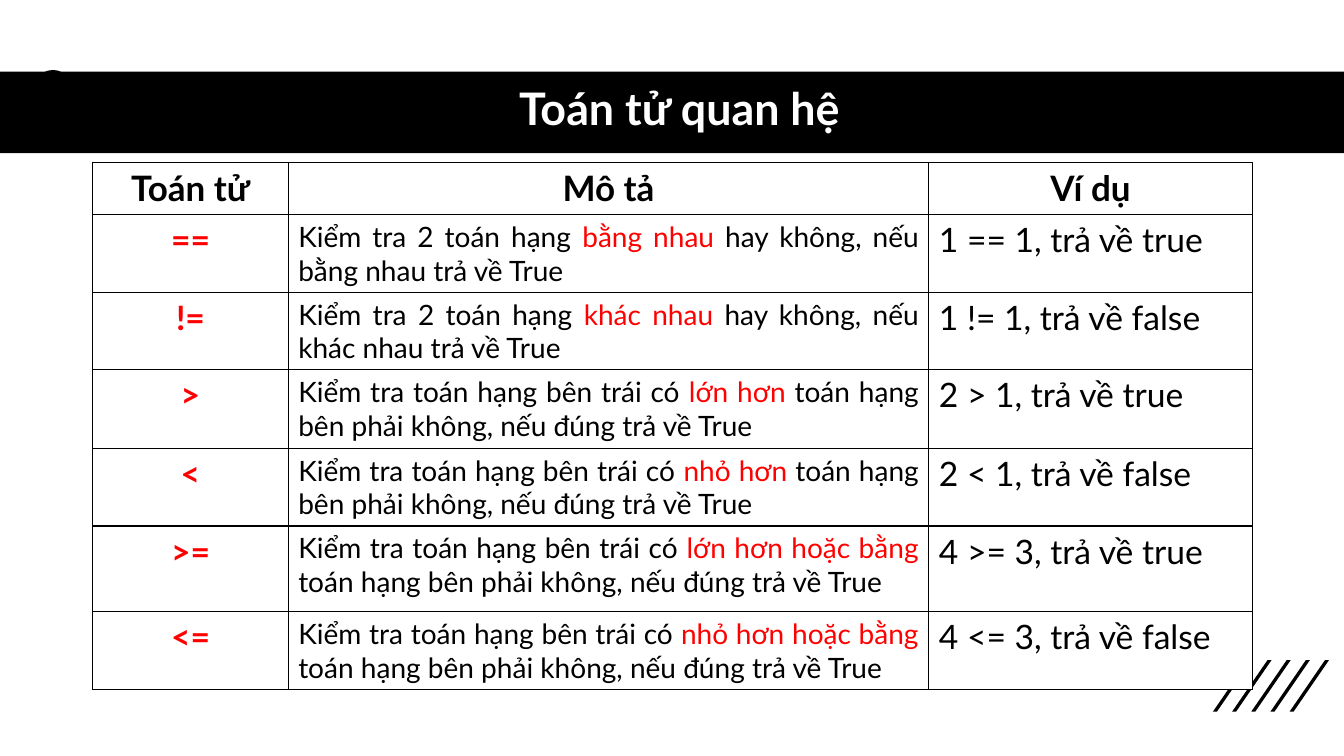
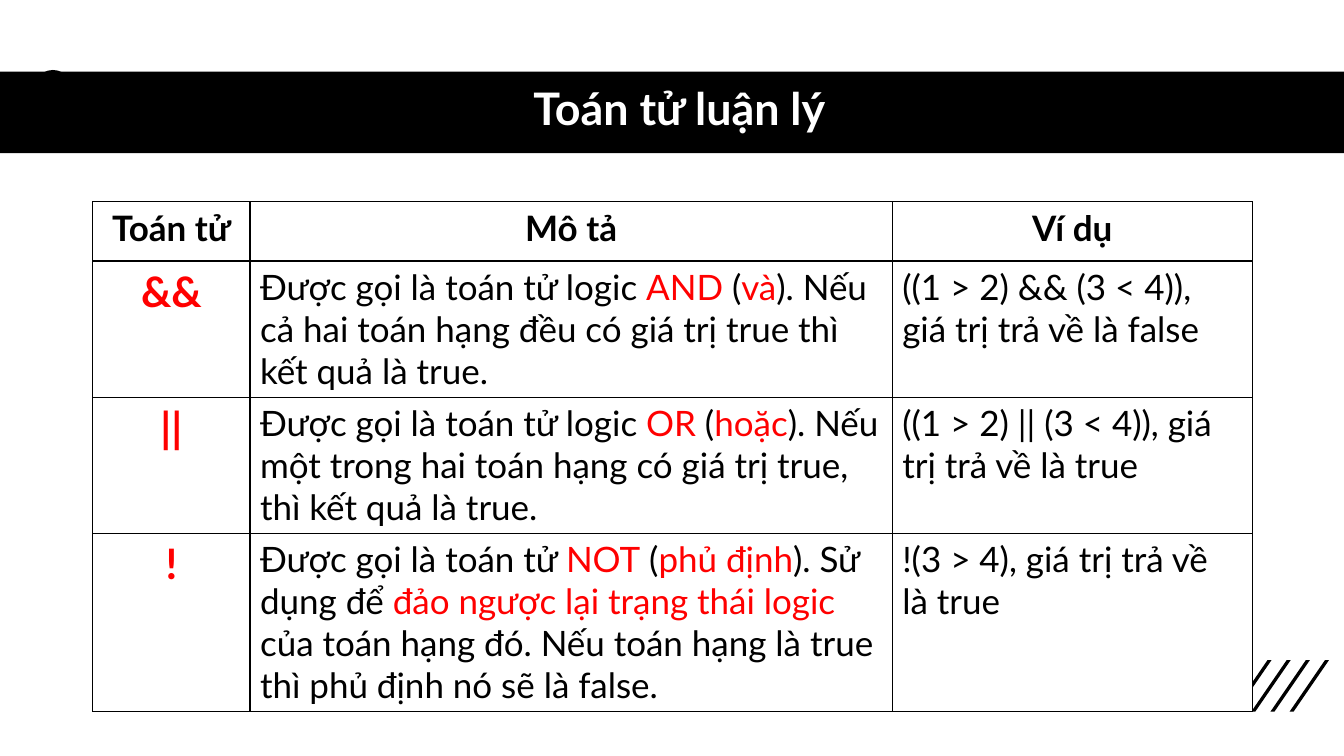
from dataclasses import dataclass

from lxml.etree import SubElement
from pptx import Presentation
from pptx.dml.color import RGBColor
from pptx.enum.shapes import MSO_SHAPE as Preset
from pptx.enum.text import MSO_ANCHOR as Anchor, PP_ALIGN as Align
from pptx.oxml.ns import qn
from pptx.util import Inches, Pt


@dataclass(frozen=True)
class Theme:
    font: str = "Lato"
    ink: RGBColor = RGBColor(0, 0, 0)
    paper: RGBColor = RGBColor(255, 255, 255)
    accent: RGBColor = RGBColor(255, 0, 0)
    mint: RGBColor = RGBColor(0xCF, 0xF7, 0xE1)
    title_size: int = 32
    header_size: int = 25
    border: float = 1
    ring: float = 2.25


@dataclass(frozen=True)
class Box:
    left: float
    top: float
    width: float
    height: float

    def emu(self):
        return [Inches(v) for v in (self.left, self.top, self.width, self.height)]


@dataclass(frozen=True)
class TableStyle:
    """Sizes and alignment of the body columns: operator, description, example."""
    sizes: tuple
    description_align: Align


THEME = Theme()
SLIDE = Box(0, 0, 13.33, 7.5)
BAND = Box(0, 0.71, SLIDE.width, 0.81)
TITLE = Box(0.61, 0.7, 12.26, 0.81)
RING = Box(0.35, BAND.top, 0.35, 0.35)
STRIPES = Box(12.03, 6.55, 1.15, 0.51)
HEADERS = ("Toán tử", "Mô tả", "Ví dụ")
MARK = "*"  # encloses words in the accent colour

RELATIONAL = [
    ("==", "Kiểm tra 2 toán hạng *bằng nhau *hay không, nếu bằng nhau trả về True",
     "1 == 1, trả về true"),
    ("!=", "Kiểm tra 2 toán hạng *khác nhau *hay không, nếu khác nhau trả về True",
     "1 != 1, trả về false"),
] + [
    (operator,
     f"Kiểm tra toán hạng bên trái có *{relation} *toán hạng bên phải không, "
     "nếu đúng trả về True",
     f"{example}, trả về {result}")
    for operator, relation, example, result in (
        (">", "lớn hơn", "2 > 1", "true"),
        ("<", "nhỏ hơn", "2 < 1", "false"),
        (">=", "lớn hơn hoặc bằng", "4 >= 3", "true"),
        ("<=", "nhỏ hơn hoặc bằng", "4 <= 3", "false"),
    )
]

LOGICAL = [
    ("&&", "Được gọi là toán tử logic *AND* (*và*). Nếu cả hai toán hạng đều có "
     "giá trị true thì kết quả là true.",
     "((1 > 2) && (3 < 4)), giá trị trả về là false"),
    ("||", "Được gọi là toán tử logic *OR* (*hoặc*). Nếu một trong hai toán hạng có "
     "giá trị true, thì kết quả là true.",
     "((1 > 2) || (3 < 4)), giá trị trả về là true"),
    ("!", "Được gọi là toán tử *NOT* (*phủ định*). Sử dụng để *đảo ngược lại trạng "
     "thái logic *của toán hạng đó. Nếu toán hạng là true thì phủ định nó sẽ là false.",
     "!(3 > 4), giá trị trả về là true"),
]


def paint(shape, fill, line=None):
    shape.shadow.inherit = False
    shape.fill.solid()
    shape.fill.fore_color.rgb = fill
    if line is None:
        shape.line.fill.background()
    else:
        shape.line.color.rgb = line
        shape.line.width = Pt(THEME.ring)


def write(para, text, size, color=THEME.ink, bold=False, align=Align.LEFT):
    """Fill a paragraph; words between marks take the accent colour."""
    para.alignment = align
    for index, part in enumerate(text.split(MARK)):
        span = para.add_run()
        span.text = part
        span.font.name = THEME.font
        span.font.size = Pt(size)
        span.font.bold = bold
        span.font.color.rgb = THEME.accent if index % 2 else color


def add_stripes(page, box, count=5):
    """Slanted bars, evenly spaced across the box."""
    group = page.shapes.add_group_shape()
    pitch, slant, thickness = box.width / 6.05, 0.35, 0.04
    bottom = box.top + box.height
    for index in range(count):
        left = box.left + index * pitch
        corners = [(left + thickness, bottom), (left, bottom),
                   (left + slant, box.top), (left + slant + thickness, box.top)]
        points = [(Inches(x), Inches(y)) for x, y in corners]
        outline = group.shapes.build_freeform(*points[0])
        outline.add_line_segments(points[1:], close=True)
        paint(outline.convert_to_shape(), THEME.ink)


def add_title_band(page, title):
    ring = page.shapes.add_shape(Preset.OVAL, *RING.emu())
    paint(ring, THEME.mint, THEME.ink)
    band = page.shapes.add_shape(Preset.RECTANGLE, *BAND.emu())
    paint(band, THEME.ink)
    frame = page.shapes.add_textbox(*TITLE.emu()).text_frame
    frame.word_wrap = True
    frame.vertical_anchor = Anchor.MIDDLE
    para = frame.paragraphs[0]
    para.line_spacing = 0.9
    write(para, title, THEME.title_size, THEME.paper, True, Align.CENTER)


def style_cell(cell):
    """White fill and a thin border on all four sides."""
    cell.fill.solid()
    cell.fill.fore_color.rgb = THEME.paper
    properties = cell._tc.get_or_add_tcPr()
    for position, side in enumerate(("lnL", "lnR", "lnT", "lnB")):
        line = SubElement(properties, qn(f"a:{side}"), w=str(Pt(THEME.border)))
        fill = SubElement(line, qn("a:solidFill"))
        SubElement(fill, qn("a:srgbClr"), val=str(THEME.ink))
        properties.insert(position, line)


def share(total, weights):
    return [Inches(total * weight / sum(weights)) for weight in weights]


def add_operator_table(page, box, columns, heights, rows, style):
    """Columns and heights are weights that divide the box."""
    table = page.shapes.add_table(len(rows) + 1, len(HEADERS), *box.emu()).table
    table.first_row = table.horz_banding = False
    for column, width in zip(table.columns, share(box.width, columns)):
        column.width = width
    for row, height in zip(table.rows, share(box.height, heights)):
        row.height = height

    header = [(THEME.header_size, THEME.ink, True, Align.CENTER)] * len(HEADERS)
    operator_size, description_size, example_size = style.sizes
    body = [(operator_size, THEME.accent, True, Align.CENTER),
            (description_size, THEME.ink, False, style.description_align),
            (example_size, THEME.ink, False, Align.LEFT)]
    for row_index, texts in enumerate([HEADERS, *rows]):
        formats = body if row_index else header
        for column_index, (text, look) in enumerate(zip(texts, formats)):
            cell = table.cell(row_index, column_index)
            style_cell(cell)
            write(cell.text_frame.paragraphs[0], text, *look)


def add_operator_page(deck, title, *table_parts):
    page = deck.slides.add_slide(deck.slide_layouts[6])
    add_stripes(page, STRIPES)
    add_title_band(page, title)
    add_operator_table(page, *table_parts)


def main():
    deck = Presentation()
    deck.slide_width, deck.slide_height = SLIDE.emu()[2:]
    add_operator_page(
        deck, "Toán tử quan hệ", Box(0.92, 1.61, 11.5, 5.23),
        (1.94, 6.36, 3.21), (0.52, 0.77, 0.77, 0.78, 0.77, 0.85, 0.77),
        RELATIONAL, TableStyle((24, 20, 24), Align.JUSTIFY))
    add_operator_page(
        deck, "Toán tử luận lý", Box(0.92, 2, 11.5, 5.05),
        (1.56, 6.37, 3.57), (0.59, 1.35, 1.35, 1.76),
        LOGICAL, TableStyle((30, 25, 25), Align.LEFT))
    deck.save("out.pptx")


if __name__ == "__main__":
    main()
